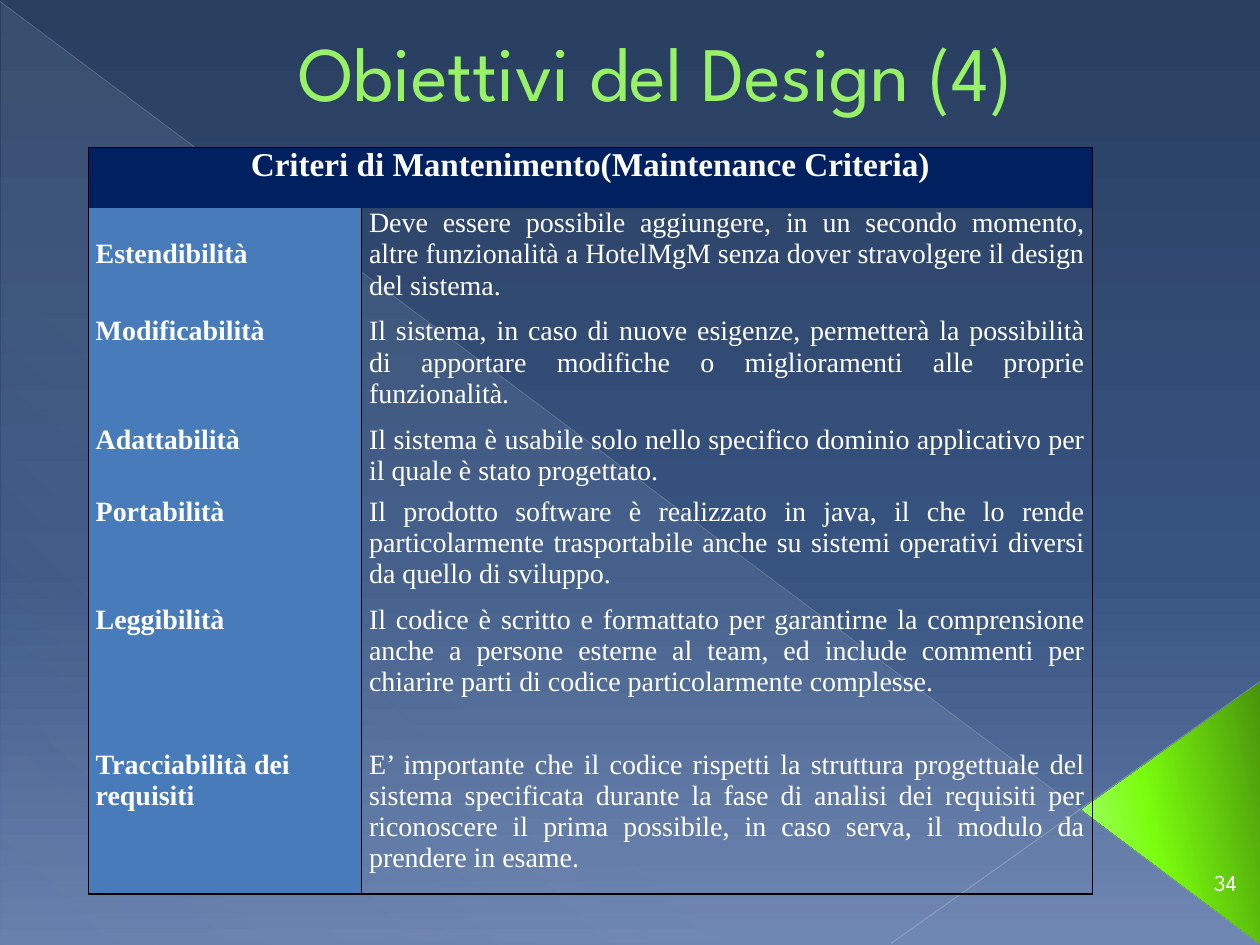
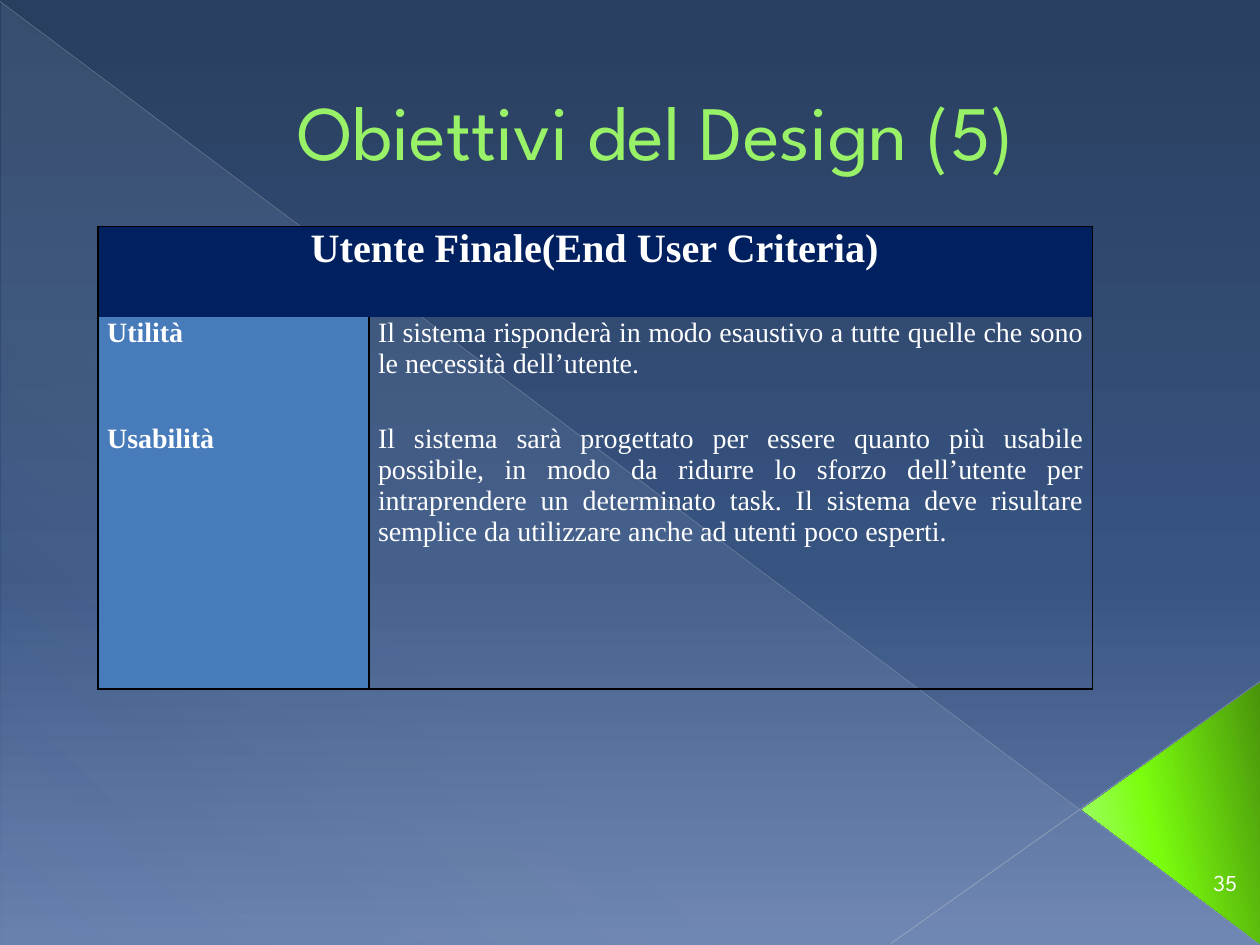
"""Build two slides listing the design goals of a hotel management system."""
from lxml.etree import SubElement
from pptx import Presentation
from pptx.dml.color import RGBColor
from pptx.enum.shapes import MSO_CONNECTOR, MSO_SHAPE
from pptx.enum.text import MSO_ANCHOR, MSO_AUTO_SIZE, PP_ALIGN
from pptx.oxml.ns import qn
from pptx.util import Cm, Pt

COLOURS = {
    "title": "98F167", "title_edge": "589129", "text": "FFFFFF",
    "header": "002060", "criterion": "477BB9", "border": "000000",
    "long_ray": "B7BCC5", "short_ray": "BFC3CB",
}
BACKDROP = [(0, "293F60", 100), (60, "375380", 100), (100, "667FAC", 100)]
VEIL = [(0, "D6ECFF", 10), (70, "D6ECFF", 8), (100, "D6ECFF", 1)]
ARROW = [(0, "49940B", 100), (60, "7BFE0E", 100), (100, "A8FF7D", 100)]
RAYS = [
    ((0, 0.03, 25.37, 19.02), "long_ray", 0.39, 35),
    ((25.4, 13.74, 17.96, 19.02), "short_ray", 0.47, 45),
]
TITLE_FONT, TABLE_FONT = "League Spartan", "Times New Roman"
NO_STYLE = "{2D5ABB26-0587-4C30-8999-92F81FD0307C}"

GOALS = [
    {
        "title": "Obiettivi del Design (4)", "title_top": 0, "page": "34",
        "header": "Criteri di Mantenimento(Maintenance Criteria)", "header_size": 19,
        "corner": (1.78, 2.97), "columns": (5.51, 14.73), "inset": 0.15,
        "rows": (1.22, 2.18, 2.18, 1.45, 2.18, 2.92, 2.92),
        "criteria": [
            ("Estendibilità", "Deve essere possibile aggiungere, in un secondo momento, altre "
             "funzionalità a HotelMgM senza dover stravolgere il design del sistema."),
            ("Modificabilità", "Il sistema, in caso di nuove esigenze, permetterà la possibilità "
             "di apportare modifiche o miglioramenti alle proprie funzionalità."),
            ("Adattabilità", "Il sistema è usabile solo nello specifico dominio applicativo per "
             "il quale è stato progettato."),
            ("Portabilità", "Il prodotto software è realizzato in java, il che lo rende "
             "particolarmente trasportabile anche su sistemi operativi diversi da quello di "
             "sviluppo."),
            ("Leggibilità", "Il codice è scritto e formattato per garantirne la comprensione "
             "anche a persone esterne al team, ed include commenti per chiarire parti di codice "
             "particolarmente complesse."),
            ("Tracciabilità dei requisiti", "E’ importante che il codice rispetti la struttura "
             "progettuale del sistema specificata durante la fase di analisi dei requisiti per "
             "riconoscere il prima possibile, in caso serva, il modulo da prendere in esame."),
        ],
        "formats": {"Estendibilità": {"line_spacing": 2.0},
                    "Tracciabilità dei requisiti": {"alignment": PP_ALIGN.LEFT}},
    },
    {
        "title": "Obiettivi del Design (5)", "title_top": 1.19, "page": "35",
        "header": "Utente Finale(End User Criteria)", "header_size": 23,
        "corner": (1.98, 4.57), "columns": (5.46, 14.58), "inset": 0.18,
        "rows": (1.83, 2.13, 5.36),
        "criteria": [
            ("Utilità", "Il sistema risponderà in modo esaustivo a tutte quelle che sono le "
             "necessità dell’utente."),
            ("Usabilità", "Il sistema sarà progettato per essere quanto più usabile possibile, "
             "in modo da ridurre lo sforzo dell’utente per intraprendere un determinato task. "
             "Il sistema deve risultare semplice da utilizzare anche ad utenti poco esperti."),
        ],
        "formats": {},
    },
]


def colour(name):
    return RGBColor.from_string(COLOURS[name])


def cms(lengths):
    return [Cm(length) for length in lengths]


def apply(target, formats):
    for attribute, value in formats.items():
        setattr(target, attribute, value)


def set_alpha(srgb, percent):
    SubElement(srgb, qn("a:alpha"), val=str(percent * 1000))


def set_gradient(fill, owner, stops, angle):
    fill.gradient()
    gradient = next(owner.iter(qn("a:gradFill")))
    for child in list(gradient):
        gradient.remove(child)
    gradient.set("rotWithShape", "1")
    stop_list = SubElement(gradient, qn("a:gsLst"))
    for position, value, opacity in stops:
        stop = SubElement(stop_list, qn("a:gs"), pos=str(position * 1000))
        srgb = SubElement(stop, qn("a:srgbClr"), val=value)
        if opacity < 100:
            set_alpha(srgb, opacity)
    SubElement(gradient, qn("a:lin"), ang=str(angle * 60000), scaled="0")


def add_outline(parent, tag, index, name, width):
    outline = SubElement(parent, qn(tag), w=str(Pt(width)))
    fill = SubElement(outline, qn("a:solidFill"))
    SubElement(fill, qn("a:srgbClr"), val=COLOURS[name])
    parent.insert(index, outline)


def write(frame, text, font, size, name, bold=False, **paragraph_formats):
    paragraph = frame.paragraphs[0]
    apply(paragraph, paragraph_formats)
    run = paragraph.add_run()
    run.text = text
    apply(run.font, {"name": font, "size": Pt(size), "bold": bold})
    run.font.color.rgb = colour(name)
    return paragraph, run


def add_gradient_shape(shapes, preset, box, stops, angle):
    shape = shapes.add_shape(preset, *cms(box))
    shape.shadow.inherit = False
    shape.line.fill.background()
    set_gradient(shape.fill, shape._element, stops, angle)
    return shape


def add_ray(shapes, ends, name, width, opacity):
    ray = shapes.add_connector(MSO_CONNECTOR.STRAIGHT, *cms(ends))
    ray.line.width = Pt(width)
    ray.line.color.rgb = colour(name)
    set_alpha(next(ray._element.iter(qn("a:srgbClr"))), opacity)
    SubElement(ray._element.spPr, qn("a:effectLst"))
    return ray


def decorate_layout(layout, shapes):
    veil = add_gradient_shape(shapes, MSO_SHAPE.RIGHT_TRIANGLE,
                              (0.03, 0.05, 25.37, 19), VEIL, 133)
    rays = [add_ray(shapes, *ray) for ray in RAYS]
    arrow = add_gradient_shape(shapes, MSO_SHAPE.ISOSCELES_TRIANGLE,
                               (20.98, 14.6, 5.26, 3.58), ARROW, 258)
    arrow.rotation = 270
    arrow.adjustments[0] = 0.513
    for number, part in enumerate([veil, *rays, arrow], 100):
        next(part._element.iter(qn("p:cNvPr"))).set("id", str(number))
        layout.shapes._spTree.append(part._element)


def add_title(slide, goal):
    title = slide.shapes.title
    apply(title, {"left": Cm(0.79), "top": Cm(goal["title_top"]),
                  "width": Cm(23.52), "height": Cm(2.49)})
    apply(title.text_frame, {"vertical_anchor": MSO_ANCHOR.BOTTOM, "word_wrap": True,
                             "auto_size": MSO_AUTO_SIZE.NONE})
    paragraph, run = write(title.text_frame, goal["title"], TITLE_FONT, 44, "title",
                           alignment=PP_ALIGN.CENTER)
    properties = paragraph._p.get_or_add_pPr()
    properties.set("marL", str(Cm(1.35)))
    properties.set("indent", "0")
    add_outline(run._r.get_or_add_rPr(), "a:ln", 0, "title_edge", 0.5)


def add_criteria(slide, goal):
    rows, columns = goal["rows"], goal["columns"]
    frame = slide.shapes.add_table(len(rows), len(columns), *cms(goal["corner"]),
                                   Cm(sum(columns)), Cm(sum(rows)))
    table = frame.table
    table._tbl.tblPr.find(qn("a:tableStyleId")).text = NO_STYLE
    apply(table, {"first_row": False, "horz_banding": False})
    for row, height in zip(table.rows, rows):
        row.height = Cm(height)
    for column, width in zip(table.columns, columns):
        column.width = Cm(width)

    table.cell(0, 0).merge(table.cell(0, 1))
    fill_cell(table.cell(0, 0), goal, goal["header"], "header", ("L", "R", "T"),
              goal["header_size"], True, alignment=PP_ALIGN.CENTER)
    for index, entry in enumerate(goal["criteria"], 1):
        sides = ("L", "R", "B") if index == len(rows) - 1 else ("L", "R")
        for side, text in enumerate(entry):
            formats = {"alignment": PP_ALIGN.JUSTIFY, **goal["formats"].get(text, {})}
            fill_cell(table.cell(index, side), goal, text, None if side else "criterion",
                      sides, 16, side == 0, **formats)


def fill_cell(cell, goal, text, background, sides, size, bold, **formats):
    inset = Cm(goal["inset"])
    apply(cell, {"margin_left": inset, "margin_right": inset,
                 "margin_top": 0, "margin_bottom": 0})
    if background:
        cell.fill.solid()
        cell.fill.fore_color.rgb = colour(background)
    else:
        cell.fill.background()
    for index, side in enumerate(sides):
        add_outline(cell._tc.get_or_add_tcPr(), f"a:ln{side}", index, "border", 1)
    write(cell.text_frame, text, TABLE_FONT, size, "text", bold, **formats)


def add_page_number(slide, page):
    frame = slide.shapes.add_textbox(*cms((24, 17.27, 1.4, 1.02))).text_frame
    apply(frame, {"word_wrap": True, "vertical_anchor": MSO_ANCHOR.MIDDLE})
    write(frame, page, TITLE_FONT, 13, "text", alignment=PP_ALIGN.CENTER)


def main():
    deck = Presentation()
    apply(deck, {"slide_width": Cm(25.4), "slide_height": Cm(19.05)})
    master = deck.slide_master
    set_gradient(master.background.fill, master._element, BACKDROP, 90)
    layout = deck.slide_layouts[5]
    slides = [deck.slides.add_slide(layout) for _ in GOALS]
    decorate_layout(layout, slides[0].shapes)
    for slide, goal in zip(slides, GOALS):
        add_title(slide, goal)
        add_criteria(slide, goal)
        add_page_number(slide, goal["page"])
    deck.save("out.pptx")


if __name__ == "__main__":
    main()
